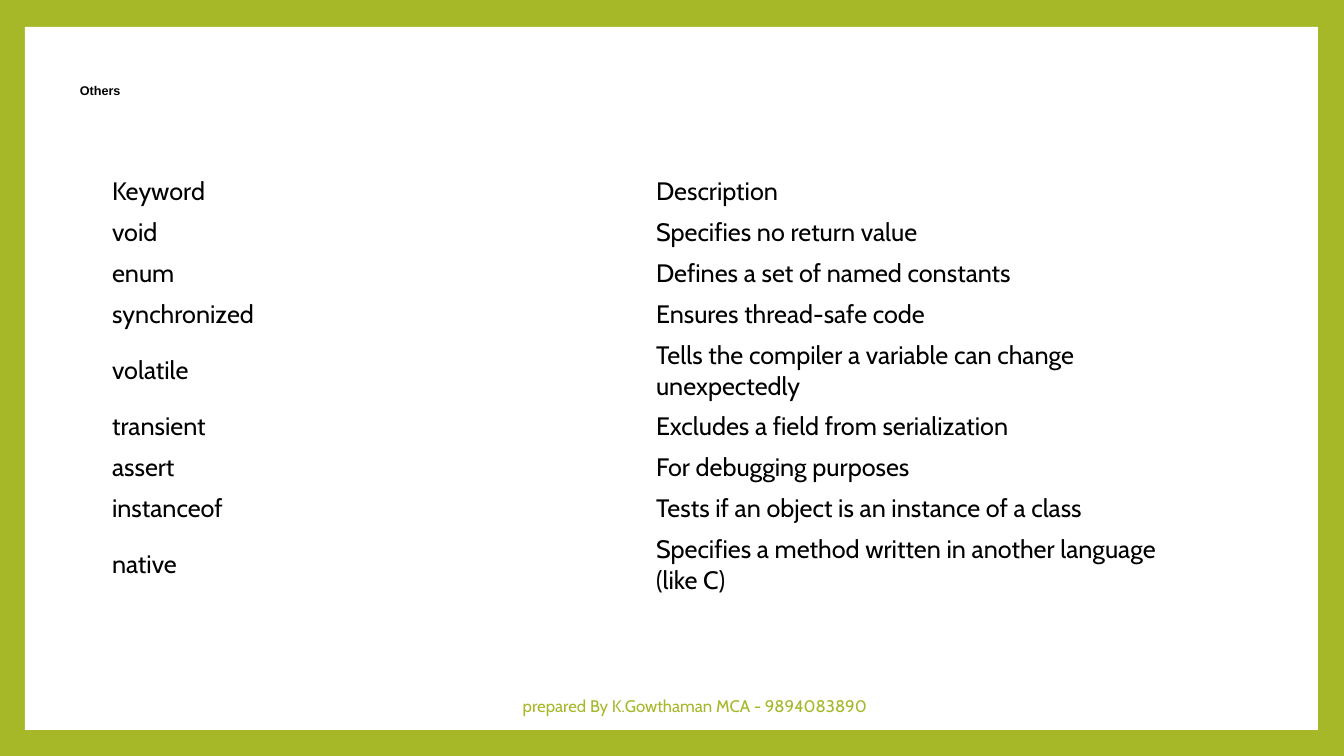
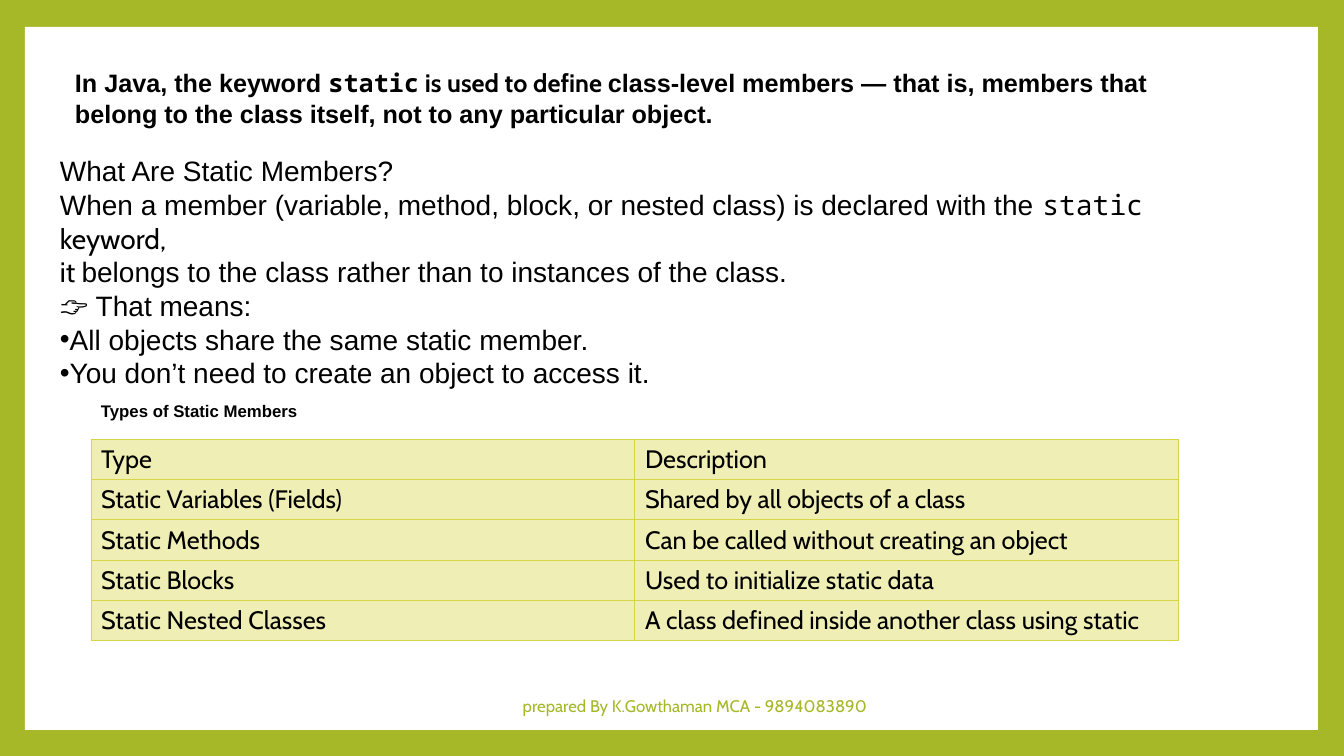
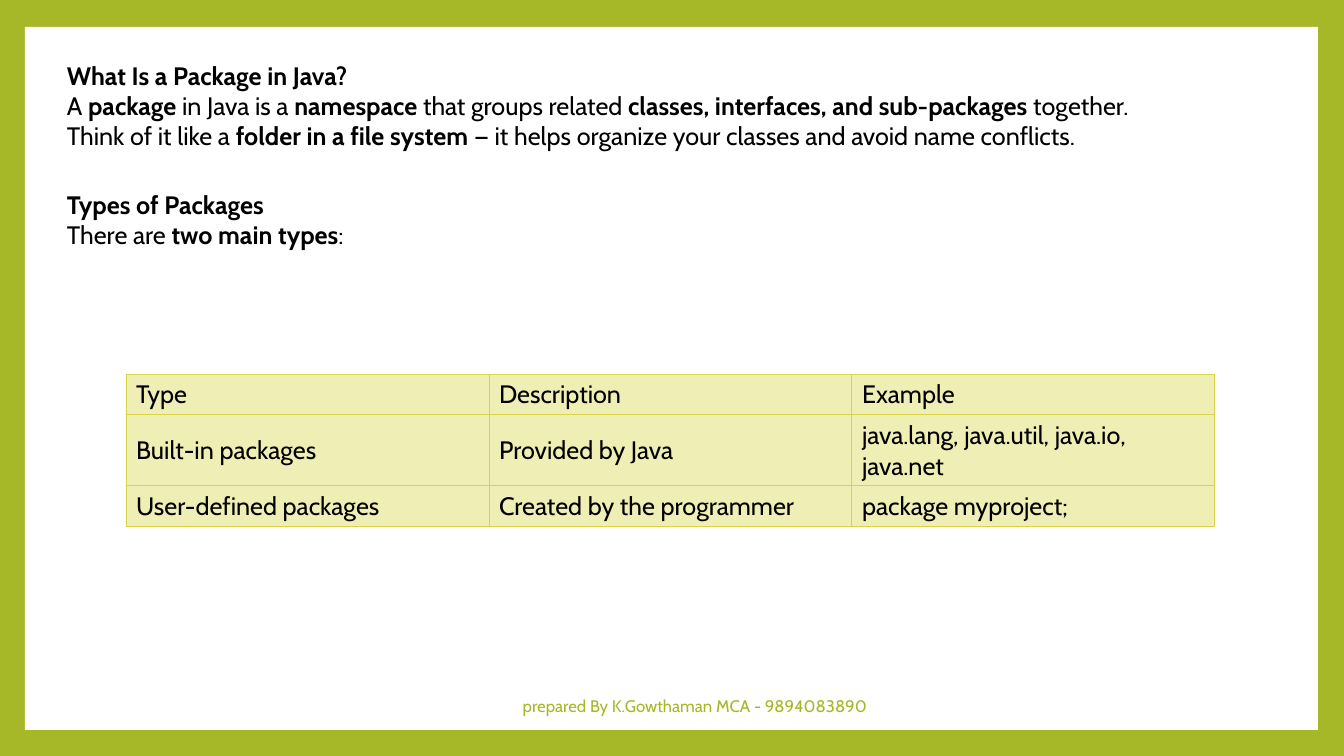
from dataclasses import dataclass

from lxml.etree import SubElement
from pptx import Presentation
from pptx.dml.color import RGBColor
from pptx.enum.shapes import MSO_SHAPE
from pptx.enum.text import MSO_ANCHOR, PP_ALIGN
from pptx.oxml.ns import qn
from pptx.util import Emu, Pt

EMU_PER_PX = 914400 / 100.8
NO_TABLE_STYLE = "{2D5ABB26-0587-4C30-8999-92F81FD0307C}"


@dataclass(frozen=True)
class Theme:
    green: str = "A6B727"
    white: str = "FFFFFF"
    black: str = "000000"
    cell: str = "EFEEB5"
    rule: str = "D7D447"
    sans: str = "Cabin"
    heading: str = "Arial"
    mono: str = "Noto Sans Mono"
    tiny: int = 9
    small: int = 12
    normal: int = 18
    large: int = 20
    rule_width: float = 0.79


THEME = Theme()


@dataclass(frozen=True)
class Span:
    text: str
    font: str = THEME.heading
    bold: bool = False


def px(length):
    return Emu(round(length * EMU_PER_PX))


def color(value):
    return RGBColor.from_string(value)


# Text
def marked(text):
    """Split text into spans; parts between asterisks are bold."""
    return [Span(part, THEME.sans, index % 2 == 1)
            for index, part in enumerate(text.split("*")) if part]


def write_spans(para, spans, size, ink=THEME.black):
    for span in spans:
        for index, line in enumerate(span.text.split("\n")):
            if index:
                para.add_line_break()
            run = para.add_run()
            run.text = line
            run.font.name = span.font
            run.font.size = Pt(size)
            run.font.bold = span.bold
            run.font.color.rgb = color(ink)


def add_bullet(para):
    properties = para._p.get_or_add_pPr()
    properties.set("marL", "0")
    properties.set("indent", "0")
    SubElement(properties, qn("a:buFont"), typeface=THEME.heading)
    SubElement(properties, qn("a:buChar"), char="•")


def add_text(page, at, paragraphs, size, ink=THEME.black,
             anchor=MSO_ANCHOR.MIDDLE, align=PP_ALIGN.LEFT, bullets_from=None):
    frame = page.shapes.add_textbox(*map(px, at)).text_frame
    frame.word_wrap = True
    frame.vertical_anchor = anchor
    for index, spans in enumerate(paragraphs):
        para = frame.add_paragraph() if index else frame.paragraphs[0]
        para.alignment = align
        if bullets_from is not None and index >= bullets_from:
            add_bullet(para)
        write_spans(para, spans, size, ink)


# Tables
def add_borders(cell):
    properties = cell._tc.get_or_add_tcPr()
    for side in ("lnL", "lnR", "lnT", "lnB"):
        line = SubElement(properties, qn(f"a:{side}"), w=str(Pt(THEME.rule_width)))
        fill = SubElement(line, qn("a:solidFill"))
        SubElement(fill, qn("a:srgbClr"), val=THEME.rule)


def add_grid(page, left, top, column_width, row_heights, rows, filled=True):
    columns = len(rows[0])
    frame = page.shapes.add_table(len(rows), columns, px(left), px(top),
                                  px(column_width * columns), px(sum(row_heights)))
    table = frame.table
    table.first_row = table.horz_banding = False
    table._tbl.tblPr.find(qn("a:tableStyleId")).text = NO_TABLE_STYLE
    for column in table.columns:
        column.width = px(column_width)
    for row, height, texts in zip(table.rows, row_heights, rows):
        row.height = px(height)
        for cell, text in zip(row.cells, texts):
            cell.vertical_anchor = MSO_ANCHOR.MIDDLE
            write_spans(cell.text_frame.paragraphs[0], [Span(text, THEME.sans)],
                        THEME.normal)
            if filled:
                add_borders(cell)
                cell.fill.solid()
                cell.fill.fore_color.rgb = color(THEME.cell)
            else:
                cell.fill.background()


# Shared page: white panel on green, footer
def add_page(deck):
    page = deck.slides.add_slide(deck.slide_layouts[6])
    panel = page.shapes.add_shape(MSO_SHAPE.RECTANGLE, px(25), px(27), px(1293), px(703))
    panel.shadow.inherit = False
    panel.fill.solid()
    panel.fill.fore_color.rgb = color(THEME.white)
    panel.line.fill.background()
    add_text(page, (435, 686, 520, 40),
             [[Span("prepared By K.Gowthaman MCA - 9894083890", THEME.sans)]],
             THEME.small, THEME.green, align=PP_ALIGN.CENTER)
    return page


# Slides
def add_other_keywords(deck):
    page = add_page(deck)
    add_text(page, (70, 75, 300, 30), [[Span("Others", bold=True)]], THEME.tiny)
    rows = [
        ("Keyword", "Description"),
        ("void", "Specifies no return value"),
        ("enum", "Defines a set of named constants"),
        ("synchronized", "Ensures thread-safe code"),
        ("volatile", "Tells the compiler a variable can change unexpectedly"),
        ("transient", "Excludes a field from serialization"),
        ("assert", "For debugging purposes"),
        ("instanceof", "Tests if an object is an instance of a class"),
        ("native", "Specifies a method written in another language (like C)"),
    ]
    heights = [41, 41, 41, 41, 71, 41, 41, 41, 71]
    add_grid(page, 102, 171, 544, heights, rows, filled=False)


def add_static_members(deck):
    page = add_page(deck)
    add_text(page, (65, 62, 1159, 72), [[
        Span("In Java, the keyword ", bold=True),
        Span("static", THEME.mono, True),
        Span(" is used to define ", THEME.sans, True),
        Span("class-level members — that is, members that belong to the class "
             "itself, not to any particular object.", bold=True),
    ]], THEME.normal)
    add_text(page, (50, 149, 1188, 248), [
        [Span("What Are Static Members?")],
        [Span("When a member (variable, method, block, or nested class) "
              "is declared with the "),
         Span("static", THEME.mono),
         Span(" keyword,\nit ", THEME.sans),
         Span("belongs to the class rather than to instances of the class.")],
        [Span("👉 That means:")],
        [Span("All objects share the same static member.")],
        [Span("You don’t need to create an object to access it.")],
    ], THEME.large, anchor=MSO_ANCHOR.TOP, bullets_from=3)
    add_text(page, (91, 396, 400, 30),
             [[Span("Types of Static Members", bold=True)]], THEME.small)
    rows = [
        ("Type", "Description"),
        ("Static Variables (Fields)", "Shared by all objects of a class"),
        ("Static Methods", "Can be called without creating an object"),
        ("Static Blocks", "Used to initialize static data"),
        ("Static Nested Classes", "A class defined inside another class using static"),
    ]
    add_grid(page, 91, 439, 544, [40] * len(rows), rows)


def add_packages(deck):
    page = add_page(deck)
    add_text(page, (57, 55, 1215, 102), [
        marked("*What Is a Package in Java?*"),
        marked("A *package* in Java is a *namespace* that groups related "
               "*classes, interfaces, and sub-packages* together."),
        marked("Think of it like a *folder in a file system* — it helps organize "
               "your classes and avoid name conflicts."),
    ], THEME.normal, anchor=MSO_ANCHOR.TOP)
    add_text(page, (57, 184, 672, 72), [
        marked("*Types of Packages*"),
        marked("There are *two main types*:"),
    ], THEME.normal, anchor=MSO_ANCHOR.TOP)
    rows = [
        ("Type", "Description", "Example"),
        ("Built-in packages", "Provided by Java",
         "java.lang, java.util, java.io, java.net"),
        ("User-defined packages", "Created by the programmer", "package myproject;"),
    ]
    add_grid(page, 126, 374, 363, [41, 70, 41], rows)


def main():
    deck = Presentation()
    deck.slide_width, deck.slide_height = px(1344), px(756)
    backdrop = deck.slide_master.background.fill
    backdrop.solid()
    backdrop.fore_color.rgb = color(THEME.green)
    add_other_keywords(deck)
    add_static_members(deck)
    add_packages(deck)
    deck.save("out.pptx")


if __name__ == "__main__":
    main()
